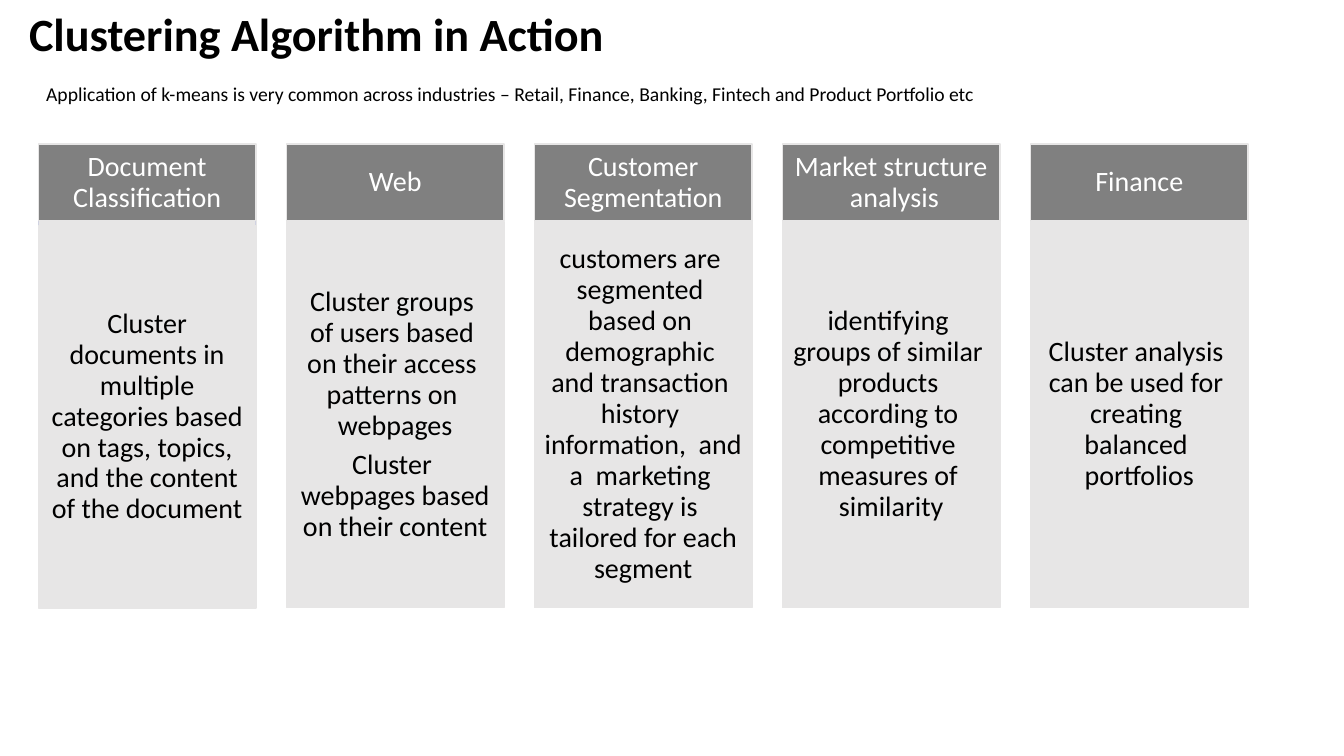
from dataclasses import dataclass
from typing import Optional

from pptx import Presentation
from pptx.dml.color import RGBColor
from pptx.enum.shapes import MSO_SHAPE
from pptx.enum.text import MSO_ANCHOR, PP_ALIGN
from pptx.util import Emu, Pt

SCALE = 9144
BLACK = RGBColor(0x00, 0x00, 0x00)
WHITE = RGBColor(0xFF, 0xFF, 0xFF)
GREY = RGBColor(0x80, 0x80, 0x80)
PALE = RGBColor(0xE7, 0xE6, 0xE6)
LAVENDER = RGBColor(0xD0, 0xD2, 0xE2)
FONT = "Calibri"
COLUMN_LEFT, COLUMN_STEP, COLUMN_WIDTH = 38, 246, 216
HEADER_TOP, PANEL_TOP, PANEL_BOTTOM = 143, 219, 603


@dataclass(frozen=True)
class Application:
    """One column: its heading, its paragraphs and the top of its body."""
    heading: str
    paragraphs: tuple[str, ...]
    body_top: int = PANEL_TOP


APPLICATIONS = (
    Application("Document Classification", (
        "Cluster documents in multiple categories based on tags, topics, "
        "and the content of the document",), 224),
    Application("Web", (
        "Cluster groups  of users based  on their access  patterns on  webpages",
        "Cluster  webpages based on their content"), 220),
    Application("Customer Segmentation", (
        "customers are  segmented  based on  demographic  and transaction  history  "
        "information,  and a  marketing  strategy is  tailored for each segment",)),
    Application("Market structure  analysis", (
        "identifying  groups of similar  products  according to  competitive  "
        "measures of  similarity",)),
    Application("Finance", (
        "Cluster analysis  can be used for  creating  balanced  portfolios",)),
)


def px(length: int) -> Emu:
    """Turn px into EMU."""
    return Emu(length * SCALE)


def write(shape, paragraphs: tuple[str, ...], *, size: int, color: RGBColor = BLACK,
          bold: bool = False, align: PP_ALIGN = PP_ALIGN.LEFT,
          anchor: MSO_ANCHOR = MSO_ANCHOR.MIDDLE, line_spacing: float = 1.0,
          space_before: float = 0) -> None:
    """Fill a shape with formatted paragraphs."""
    frame = shape.text_frame
    frame.word_wrap = True
    frame.vertical_anchor = anchor
    for index, text in enumerate(paragraphs):
        para = frame.add_paragraph() if index else frame.paragraphs[0]
        para.alignment = align
        para.line_spacing = line_spacing
        para.space_before = Pt(space_before)
        span = para.add_run()
        span.text = text
        span.font.name = FONT
        span.font.size = Pt(size)
        span.font.bold = bold
        span.font.color.rgb = color


def add_text(page, left: int, top: int, width: int, height: int, text: str, **style) -> None:
    """Add a text box with one paragraph."""
    box = page.shapes.add_textbox(px(left), px(top), px(width), px(height))
    write(box, (text,), **style)


def add_panel(page, left: int, top: int, bottom: int, fill: Optional[RGBColor] = PALE,
              line: RGBColor = PALE, line_width: float = 1):
    """Add a rectangle as wide as a column."""
    panel = page.shapes.add_shape(
        MSO_SHAPE.RECTANGLE, px(left), px(top), px(COLUMN_WIDTH), px(bottom - top))
    panel.shadow.inherit = False
    if fill is None:
        panel.fill.background()
    else:
        panel.fill.solid()
        panel.fill.fore_color.rgb = fill
    panel.line.color.rgb = line
    panel.line.width = Pt(line_width)
    return panel


def add_column(page, left: int, application: Application) -> None:
    """Add the body and the heading of one application."""
    style = dict(size=20, align=PP_ALIGN.CENTER, line_spacing=0.92, space_before=5.9)
    body = add_panel(page, left, application.body_top, PANEL_BOTTOM)
    write(body, application.paragraphs, **style)
    header = add_panel(page, left, HEADER_TOP, PANEL_TOP, fill=GREY)
    write(header, (application.heading,), color=WHITE, **style)


def main() -> None:
    """Build the slide and save it."""
    deck = Presentation()
    deck.slide_width, deck.slide_height = px(1333), px(750)
    page = deck.slides.add_slide(deck.slide_layouts[6])
    add_text(page, 19, 1, 1286, 71, "Clustering Algorithm in Action",
             size=33, bold=True, line_spacing=0.9)
    add_text(page, 36, 76, 1286, 34,
             "Application of k-means is very common across industries – Retail, Finance, "
             "Banking, Fintech and Product Portfolio etc",
             size=14, anchor=MSO_ANCHOR.TOP)
    add_panel(page, COLUMN_LEFT, PANEL_TOP, PANEL_BOTTOM)
    add_panel(page, COLUMN_LEFT, PANEL_TOP, PANEL_BOTTOM, fill=None,
              line=LAVENDER, line_width=0.72)
    for index, application in enumerate(APPLICATIONS):
        add_column(page, COLUMN_LEFT + index * COLUMN_STEP, application)
    deck.save("out.pptx")


if __name__ == "__main__":
    main()
